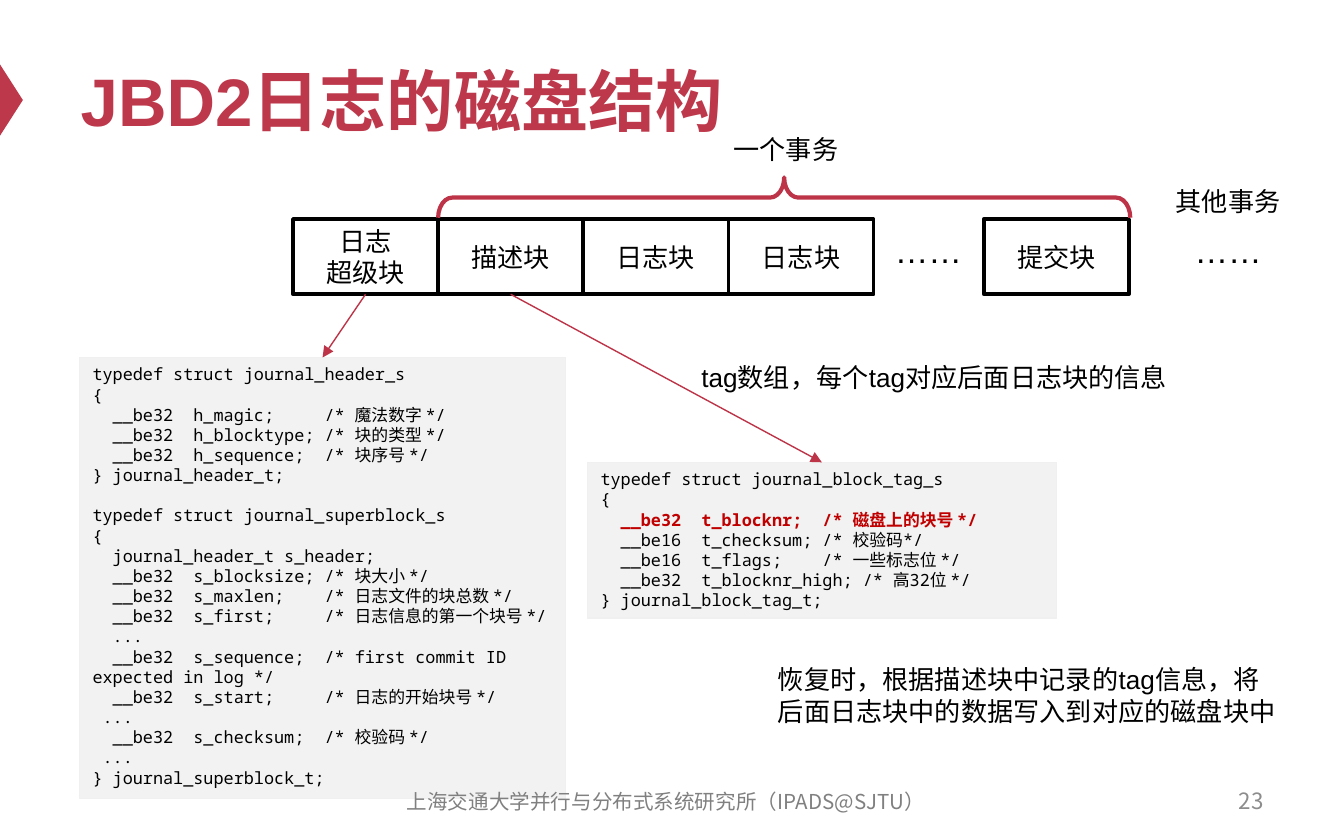
import dataclasses

import lxml.etree
import pptx
import pptx.dml.color
import pptx.enum.shapes
import pptx.enum.text
import pptx.oxml.ns
import pptx.util

PX = 9144
SHAPE = pptx.enum.shapes.MSO_SHAPE
ALIGN = pptx.enum.text.PP_ALIGN
ANCHOR = pptx.enum.text.MSO_ANCHOR
qn = pptx.oxml.ns.qn


@dataclasses.dataclass(frozen=True)
class Theme:
    """Colours, fonts and type sizes of the deck."""
    red: str = "BE384B"
    line: str = "BD3347"
    accent: str = "C00000"
    ink: str = "000000"
    paper: str = "FFFFFF"
    panel: str = "F2F2F2"
    panel_edge: str = "F0F0F0"
    number: str = "8C8C8C"
    footer: str = "808080"
    sans: str = "Arial"
    cjk: str = "Noto Sans CJK SC"
    mono: str = "Noto Sans Mono"
    title: int = 36
    dots: int = 18
    body: int = 14
    small: int = 12
    foot: int = 11
    code: int = 9
    leading: float = 1.2


T = Theme()

HEADER_CODE = """typedef struct journal_header_s
{
  __be32  h_magic;     /* 魔法数字 */
  __be32  h_blocktype; /* 块的类型 */
  __be32  h_sequence;  /* 块序号 */
} journal_header_t;

typedef struct journal_superblock_s
{
  journal_header_t s_header;
  __be32  s_blocksize; /* 块大小 */
  __be32  s_maxlen;    /* 日志文件的块总数 */
  __be32  s_first;     /* 日志信息的第一个块号 */
  ...
  __be32  s_sequence;  /* first commit ID expected in log */
  __be32  s_start;     /* 日志的开始块号 */
 ...
  __be32  s_checksum;  /* 校验码 */
 ...
} journal_superblock_t;"""

TAG_CODE = """typedef struct journal_block_tag_s
{
  __be32  t_blocknr;  /* 磁盘上的块号 */
  __be16  t_checksum; /* 校验码*/
  __be16  t_flags;    /* 一些标志位 */
  __be32  t_blocknr_high; /* 高32位 */
} journal_block_tag_t;"""


def emu(*lengths):
    """Turn px lengths into EMU."""
    return [round(n * PX) for n in lengths]


def rgb(value):
    """Make a colour from its hex text."""
    return pptx.dml.color.RGBColor.from_string(value)


def write(sp, text, size=T.body, font=T.sans, color=T.ink, bold=False,
          align=ALIGN.LEFT, anchor=ANCHOR.TOP, wrap=True, accent=None):
    """Fill a shape with formatted text, one paragraph a line."""
    tf = sp.text_frame
    tf.word_wrap = wrap
    tf.auto_size = pptx.enum.text.MSO_AUTO_SIZE.NONE
    tf.vertical_anchor = anchor
    for i, line in enumerate(text.split("\n")):
        p = tf.add_paragraph() if i else tf.paragraphs[0]
        p.text = line
        p.alignment = align
        p.line_spacing = pptx.util.Pt(size * T.leading)
        marked = accent is not None and accent in line
        for r in p.runs:
            r.font.size = pptx.util.Pt(size)
            r.font.bold = bold or marked
            r.font.color.rgb = rgb(T.accent if marked else color)
            r.font.name = font
            ea = lxml.etree.SubElement(r._r.get_or_add_rPr(), qn("a:ea"))
            ea.set("typeface", T.cjk)


def label(s, box, text, **style):
    """Add a text box."""
    write(s.shapes.add_textbox(*emu(*box)), text, **style)


def draw(s, kind, box, fill=None, line=None, weight=1):
    """Add a preset shape with plain fill and line."""
    sp = s.shapes.add_shape(kind, *emu(*box))
    sp.shadow.inherit = False
    if fill:
        sp.fill.solid()
        sp.fill.fore_color.rgb = rgb(fill)
    else:
        sp.fill.background()
    if line:
        sp.line.color.rgb = rgb(line)
        sp.line.width = pptx.util.Pt(weight)
    else:
        sp.line.fill.background()
    return sp


def draw_turned(s, kind, box, angle, **style):
    """Add a quarter-turned shape that covers the given box."""
    x, y, w, h = box
    shift = (w - h) / 2
    sp = draw(s, kind, (x + shift, y - shift, h, w), **style)
    sp.rotation = angle
    return sp


def arrow(s, start, end):
    """Join the bottom of one shape to the top of another."""
    c = s.shapes.add_connector(pptx.enum.shapes.MSO_CONNECTOR.STRAIGHT, 0, 0, 0, 0)
    c.begin_connect(start, 2)
    c.end_connect(end, 0)
    c.line.color.rgb = rgb(T.line)
    c.line.width = pptx.util.Pt(0.75)
    lxml.etree.SubElement(c.line._get_or_add_ln(), qn("a:tailEnd")).set("type", "triangle")
    lxml.etree.SubElement(c._element.spPr, qn("a:effectLst"))


def heading(s, box, text):
    """Place the title and the marker at the slide edge."""
    x, y, w, h = box
    draw_turned(s, SHAPE.ISOSCELES_TRIANGLE, (0, y + 23, 17, 53), 90, fill=T.red)
    sp = s.shapes.title
    sp.left, sp.top, sp.width, sp.height = emu(x, y, w, h)
    write(sp, text, size=T.title, color=T.red, bold=True, anchor=ANCHOR.MIDDLE)


def journal(s, box):
    """Draw the row of journal blocks and return them."""
    x, y, w, h = box
    cell = 108
    lefts = [x + i * cell for i in range(4)] + [x + 514]
    names = ["日志\v超级块", "描述块", "日志块", "日志块", "提交块"]
    blocks = []
    for left, name in zip(lefts, names):
        sp = draw(s, SHAPE.RECTANGLE, (left, y, cell, h), T.paper, T.ink, 2)
        write(sp, name, align=ALIGN.CENTER, anchor=ANCHOR.MIDDLE)
        blocks.append(sp)
    brace = draw_turned(s, SHAPE.RIGHT_BRACE, (x + cell, y - 31, 515, 30), 270,
                        line=T.line, weight=2.25)
    brace.adjustments[0] = 0.35
    for left in (x + 438, x + w - 71):
        label(s, (left, y + 3, 71, 40), "……", size=T.dots, wrap=False)
    label(s, (x + 318, y - 69, 99, 34), "一个事务", wrap=False)
    label(s, (x + 647, y - 30, 99, 34), "其他事务", wrap=False)
    return blocks


def code_panel(s, box, code, accent=None):
    """Draw a grey panel of code and return it."""
    sp = draw(s, SHAPE.RECTANGLE, box, T.panel, T.panel_edge, 0.75)
    write(sp, code, size=T.code, font=T.mono, accent=accent)
    return sp


def footer(s, box):
    """Place the footer line and the page number."""
    x, y, w, h = box
    label(s, (x, y + 1, 433, h), "上海交通大学并行与分布式系统研究所（IPADS@SJTU）",
          size=T.foot, font=T.cjk, color=T.footer, align=ALIGN.CENTER, anchor=ANCHOR.MIDDLE)
    label(s, (x + w - 233, y, 233, h), "23", size=T.small, font=T.cjk,
          color=T.number, align=ALIGN.RIGHT, anchor=ANCHOR.MIDDLE)


def main():
    """Build the slide and save it."""
    prs = pptx.Presentation()
    prs.slide_width, prs.slide_height = emu(1000, 625)
    s = prs.slides.add_slide(prs.slide_layouts[5])
    heading(s, (50, 25, 900, 98), "JBD2日志的磁盘结构")
    header_panel = code_panel(s, (59, 266, 362, 328), HEADER_CODE)
    footer(s, (279, 579, 671, 33))
    blocks = journal(s, (218, 163, 732, 56))
    tag_panel = code_panel(s, (437, 344, 349, 116), TAG_CODE, accent="t_blocknr;")
    arrow(s, blocks[0], header_panel)
    arrow(s, blocks[1], tag_panel)
    label(s, (512, 264, 369, 57), "tag数组，每个tag对应后面日志块的信息")
    label(s, (569, 489, 394, 57),
          "恢复时，根据描述块中记录的tag信息，将后面日志块中的数据写入到对应的磁盘块中")
    prs.save("out.pptx")


if __name__ == "__main__":
    main()
